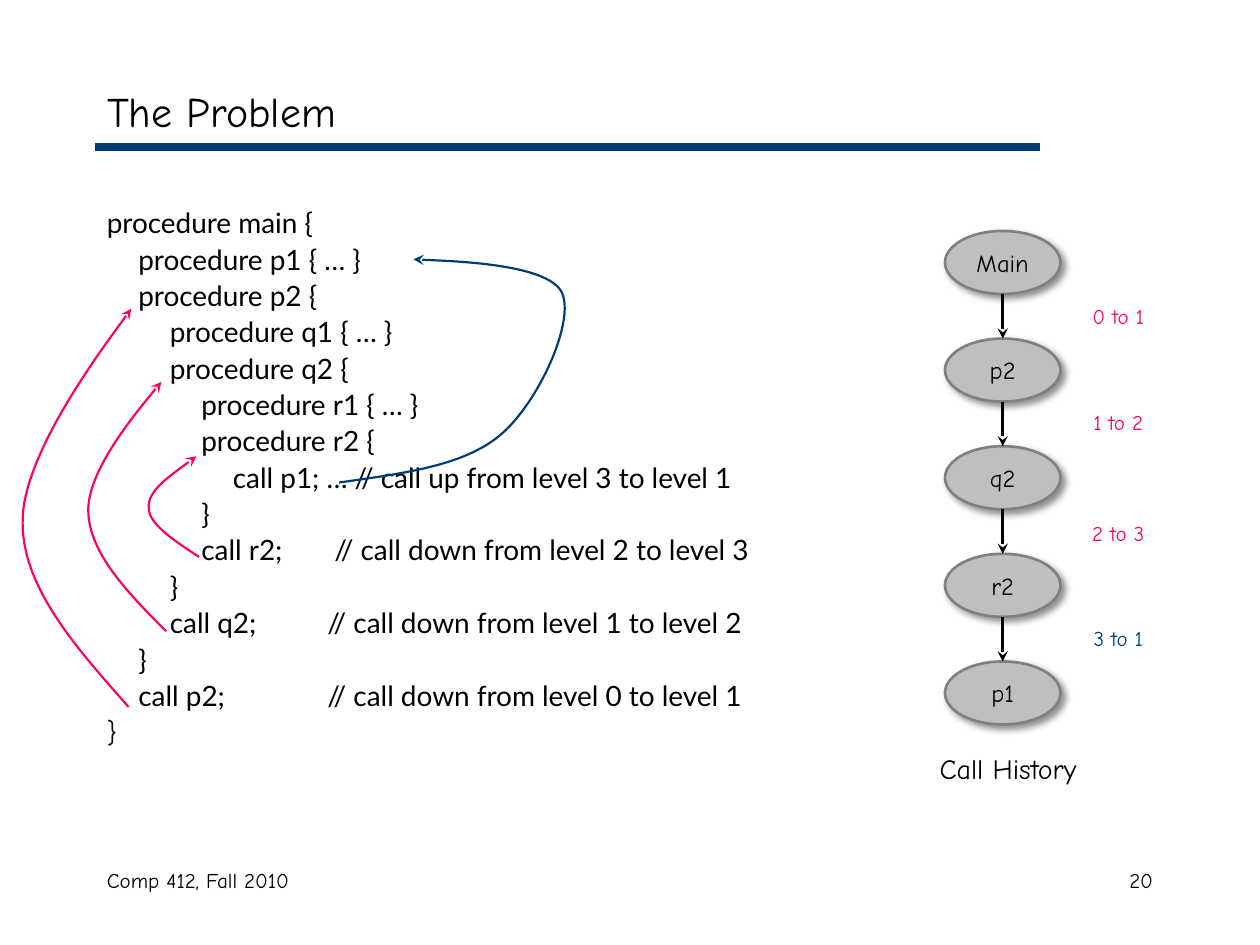
from lxml import etree
from pptx import Presentation
from pptx import util as u
from pptx.dml import color as clr
from pptx.enum import shapes, text
from pptx.oxml import ns

Pt = u.Pt
COLORS = {"black": "000000", "navy": "003C75", "pink": "FF0065",
          "node": "BFBFBF", "rim": "808080"}
COMIC = "Comic Neue"
LATO = "Lato"
LEFT, CENTER, RIGHT = text.PP_ALIGN.LEFT, text.PP_ALIGN.CENTER, text.PP_ALIGN.RIGHT
TOP, MIDDLE = text.MSO_ANCHOR.TOP, text.MSO_ANCHOR.MIDDLE

CODE = [
    "procedure main {",
    "\tprocedure p1 { … }",
    "\tprocedure p2 {",
    "\t\tprocedure q1 { … }",
    "\t\tprocedure q2 {",
    "\t\t\tprocedure r1 { … }",
    "\t\t\tprocedure r2 {",
    "\t\t\t\tcall p1; … // call up from level 3 to level 1",
    "\t\t\t}",
    "\t\t\tcall r2; \t\t // call down from level 2 to level 3",
    "\t\t}",
    "\t\tcall q2; \t\t\t// call down from level 1 to level 2",
    "\t}",
    "\tcall p2; \t\t\t\t// call down from level 0 to level 1",
    "}",
]
TAB_STEP, TAB_COUNT = 18, 8

NODES = ["Main", "p2", "q2", "r2", "p1"]
NODE_LEFT, NODE_TOP, NODE_W, NODE_H, NODE_PITCH = 540, 132, 66, 36, 61.5

LABELS = [("0 to 1", 170, "pink"), ("1 to 2", 230.5, "pink"),
          ("2 to 3", 294, "pink"), ("3 to 1", 354, "navy")]

CALLS = [
    ("pink", [(73.5, 404), (43, 369.5), (12.25, 335), (13, 297.5),
              (13, 259), (75, 176.5), (75, 176.5)]),
    ("pink", [(95, 360.75), (72.75, 338.5), (51, 316), (50.5, 292.25),
              (49.75, 268.5), (91.5, 219), (92.25, 218.25)]),
    ("pink", [(113.75, 318.25), (99.5, 309), (85, 299.5), (85, 290.25),
              (84.25, 280.75), (98.75, 270.75), (112.25, 260.75)]),
    ("navy", [(193.75, 275.75), (229, 270.75), (265, 266.5), (286, 248.5),
              (307.5, 230.5), (329, 183.5), (321, 167),
              (312.5, 150.5), (236.25, 148.25), (236.25, 148.25)]),
]


def rgb(name):
    return clr.RGBColor.from_string(COLORS[name])


def add_xml(parent, tag, **attrs):
    return etree.SubElement(parent, ns.qn(tag), attrs)


def write(p, content, size, font=COMIC, color="black", align=LEFT):
    p.alignment = align
    r = p.add_run()
    r.text = content
    for name, value in {"name": font, "size": Pt(size), "bold": False}.items():
        setattr(r.font, name, value)
    r.font.color.rgb = rgb(color)


def set_frame(tf, anchor):
    fmt = {"word_wrap": True, "auto_size": text.MSO_AUTO_SIZE.NONE,
           "vertical_anchor": anchor}
    for name, value in fmt.items():
        setattr(tf, name, value)


def set_line(sp, color, width, arrow=False):
    sp.line.color.rgb = rgb(color)
    sp.line.width = Pt(width)
    if arrow:
        add_xml(sp._element.spPr.find(ns.qn("a:ln")), "a:tailEnd", type="stealth")


def add_title(s, content):
    sp = s.shapes.title
    box = {"left": 54, "top": 42, "width": 612, "height": 42}
    for name, value in box.items():
        setattr(sp, name, Pt(value))
    set_frame(sp.text_frame, MIDDLE)
    write(sp.text_frame.paragraphs[0], content, 24)


def add_text(s, box, content, size, **fmt):
    sp = s.shapes.add_textbox(*map(Pt, box))
    set_frame(sp.text_frame, TOP)
    write(sp.text_frame.paragraphs[0], content, size, **fmt)


def add_code(s, box, lines):
    tf = s.shapes.add_textbox(*map(Pt, box)).text_frame
    set_frame(tf, TOP)
    for i, line in enumerate(lines):
        p = tf.add_paragraph() if i else tf.paragraphs[0]
        p.space_before = Pt(1.6 if i else 0)
        tabs = add_xml(p._p.get_or_add_pPr(), "a:tabLst")
        for stop in range(1, TAB_COUNT + 1):
            add_xml(tabs, "a:tab", pos=str(Pt(TAB_STEP * stop)), algn="l")
        write(p, line, 16, font=COMIC if i == len(lines) - 1 else LATO)


def add_node(s, top, name):
    sp = s.shapes.add_shape(shapes.MSO_SHAPE.OVAL, Pt(NODE_LEFT), Pt(top),
                            Pt(NODE_W), Pt(NODE_H))
    sp.fill.solid()
    sp.fill.fore_color.rgb = rgb("node")
    set_line(sp, "rim", 1.5)
    sp.shadow.inherit = False
    effects = sp._element.spPr.find(ns.qn("a:effectLst"))
    shadow = add_xml(effects, "a:outerShdw", blurRad=str(Pt(4)), dist=str(Pt(3)),
                     dir="2700000", algn="tl", rotWithShape="0")
    tint = add_xml(shadow, "a:srgbClr", val=COLORS["black"])
    add_xml(tint, "a:alpha", val="43000")
    set_frame(sp.text_frame, MIDDLE)
    write(sp.text_frame.paragraphs[0], name, 14, align=CENTER)


def add_line(s, start, end, color, width, arrow=False):
    cx = s.shapes.add_connector(shapes.MSO_CONNECTOR.STRAIGHT,
                                *map(Pt, start + end))
    set_line(cx, color, width, arrow)
    add_xml(cx._element.spPr, "a:effectLst")


def add_curve(s, color, points):
    start, *rest = [(Pt(x), Pt(y)) for x, y in points]
    fb = s.shapes.build_freeform(*start)
    fb.add_line_segments(rest, close=False)
    sp = fb.convert_to_shape()
    sp.fill.background()
    set_line(sp, color, 1.25, arrow=True)
    sp.shadow.inherit = False
    segments = sp._element.xpath(".//a:lnTo")
    outline = segments[0].getparent()
    for i in range(0, len(segments), 3):
        bezier = add_xml(outline, "a:cubicBezTo")
        for segment in segments[i:i + 3]:
            bezier.append(segment[0])
            outline.remove(segment)


def add_history(s):
    tops = [NODE_TOP + i * NODE_PITCH for i in range(len(NODES))]
    for top, name in zip(tops, NODES):
        add_node(s, top, name)
    x = NODE_LEFT + NODE_W / 2
    for top, below in zip(tops, tops[1:]):
        add_line(s, (x, top + NODE_H), (x, below), "black", 1.5, arrow=True)
    add_text(s, (516, 426, 120, 26.5), "Call History", 16, align=CENTER)
    for content, top, color in LABELS:
        add_text(s, (612, top, 54, 21.5), content, 12, color=color, align=CENTER)


def main():
    prs = Presentation()
    prs.slide_width, prs.slide_height = Pt(720), Pt(540)
    s = prs.slides.add_slide(prs.slide_layouts[5])
    add_line(s, (54, 84), (594, 84), "navy", 4.5)
    add_text(s, (54, 492, 228, 36), "Comp 412, Fall 2010", 12)
    add_text(s, (516, 492, 150, 36), "20", 12, align=RIGHT)
    add_title(s, "The Problem")
    add_code(s, (54, 114, 432, 325.5), CODE)
    add_history(s)
    for color, points in CALLS:
        add_curve(s, color, points)
    prs.save("out.pptx")


if __name__ == "__main__":
    main()
